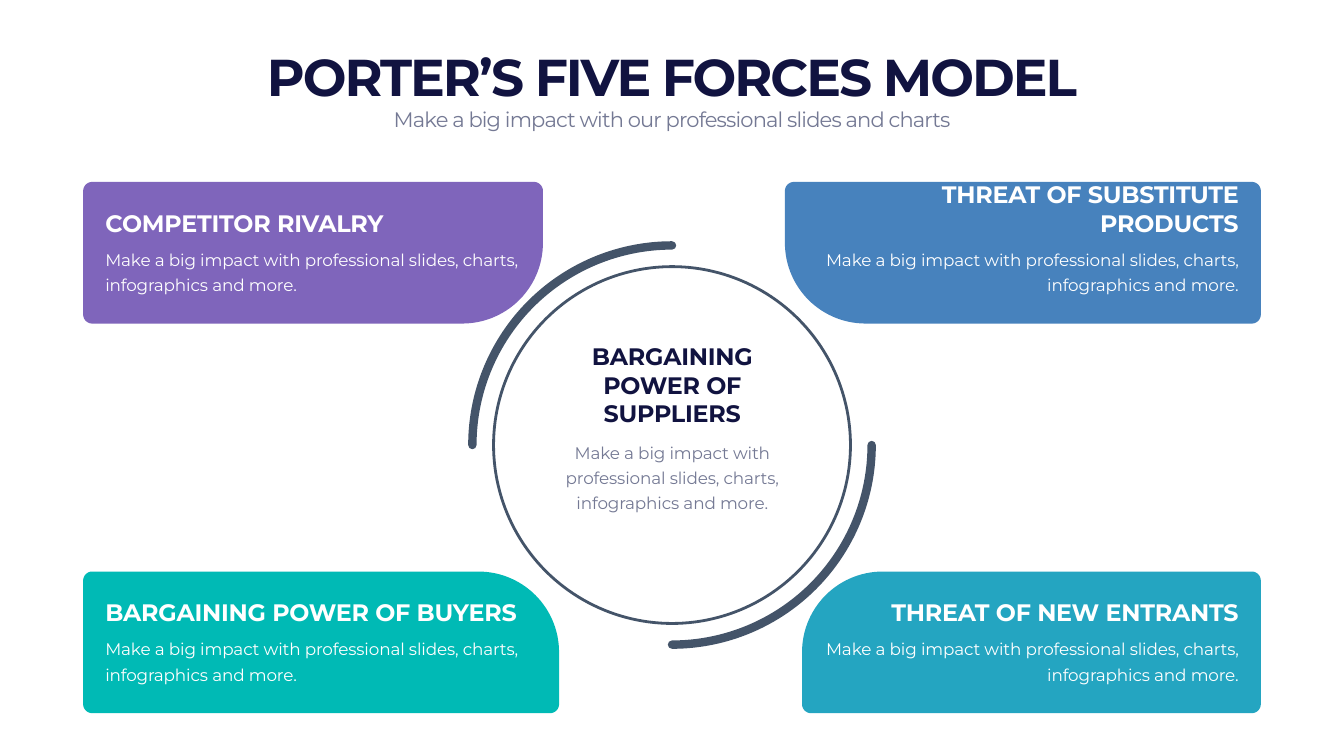
from math import cos, radians, sin
from pptx import Presentation
from pptx.dml.color import RGBColor
from pptx.enum.shapes import MSO_SHAPE
from pptx.enum.text import MSO_ANCHOR, MSO_AUTO_SIZE, PP_ALIGN
from pptx.util import Inches, Pt

LEFT, MID, RIGHT = PP_ALIGN.LEFT, PP_ALIGN.CENTER, PP_ALIGN.RIGHT
TOP, BOTTOM = MSO_ANCHOR.TOP, MSO_ANCHOR.BOTTOM
FIT = MSO_AUTO_SIZE.SHAPE_TO_FIT_TEXT
OVAL, ARC = MSO_SHAPE.OVAL, MSO_SHAPE.ARC

# Content
TITLE = "PORTER’S FIVE FORCES MODEL"
SUB = "Make a big impact with our professional slides and charts"
HUB = "BARGAINING POWER OF SUPPLIERS"
BODY = ("Make a big impact with professional slides, charts, "
        "infographics and more.")
# heading, column, row, card width, fill
CARDS = [
    ("COMPETITOR RIVALRY", 0, 0, 9.12, "7F65BB"),
    ("THREAT OF SUBSTITUTE PRODUCTS", 1, 0, 9.44, "4782BD"),
    ("BARGAINING POWER OF BUYERS", 0, 1, 9.44, "00BAB5"),
    ("THREAT OF NEW ENTRANTS", 1, 1, 9.1, "24A5C1"),
]
NAVY, GREY, SLATE, WHITE = "111340", "747994", "445469", "FFFFFF"

# Measures in inches
WIDE, HIGH = 26.66, 15
EDGE, TALL = 1.65, 2.81
ROWS = (3.61, 11.34)
SMALL, BIG = 0.18, 1.6
CX, CY = 13.33, 8.83

deck = Presentation()
deck.slide_width, deck.slide_height = Inches(WIDE), Inches(HIGH)
slide = deck.slides.add_slide(deck.slide_layouts[0])
shapes = slide.shapes


def color(code):
    return RGBColor.from_string(code)


def write(text, x, y, w, h, box=None, size=24, ink=WHITE, bold=False,
          align=LEFT, anchor=TOP, track=-0.2, lead=None):
    area = [Inches(v) for v in (x, y, w, h)]
    if box is None:
        box = shapes.add_textbox(*area)
    box.left, box.top, box.width, box.height = area
    frame = box.text_frame
    frame.word_wrap, frame.auto_size = True, FIT
    frame.vertical_anchor = anchor
    para = frame.paragraphs[0]
    para.alignment, para.space_before = align, Pt(0)
    para.line_spacing = Pt(lead) if lead else 1.0
    run = para.add_run()
    run.text = text
    font = run.font
    font.name, font.size, font.bold = "Montserrat", Pt(size), bold
    font.color.rgb = color(ink)
    run._r.get_or_add_rPr().set("spc", str(round(track * 100)))


def pair(head, x, w, split, tops, gap, **look):
    """Bold heading that sits above a short body text."""
    high, low = tops
    write(head, x, split - high, w, high, size=34, bold=True,
          anchor=BOTTOM, track=-0.3, **look)
    look["ink"] = GREY if look["ink"] == NAVY else look["ink"]
    write(BODY, x, split + gap, w, low, lead=36, **look)


def card(x, y, w, fill, bend):
    """Rounded box whose corner number bend has the large radius."""
    dots = []
    for k, (right, low) in enumerate([(0, 0), (1, 0), (1, 1), (0, 1)]):
        r = BIG if k == bend else SMALL
        mx = x + (w - r if right else r)
        my = y + (TALL - r if low else r)
        for step in range(31):
            turn = radians(180 + 90 * k + 3 * step)
            dots.append((Inches(mx + r * cos(turn)),
                         Inches(my + r * sin(turn))))
    # Points are whole EMU, as the builder rounds them
    path = shapes.build_freeform(*dots[0])
    path.add_line_segments(dots[1:], close=True)
    shape = path.convert_to_shape()
    shape.shadow.inherit = False
    shape.fill.solid()
    shape.fill.fore_color.rgb = color(fill)
    shape.line.fill.background()


def ring(kind, r, width):
    shape = shapes.add_shape(kind, Inches(CX - r), Inches(CY - r),
                             Inches(2 * r), Inches(2 * r))
    shape.shadow.inherit = False
    shape.fill.background()
    shape.line.color.rgb = color(SLATE)
    shape.line.width = Pt(width)
    return shape


# Title and subtitle
head, sub = slide.placeholders
write(TITLE, EDGE, 0.82, WIDE - 2 * EDGE, 1.35, box=head, size=74, ink=NAVY,
      bold=True, align=MID, anchor=BOTTOM, track=-2.9)
write(SUB, EDGE, 2.07, WIDE - 2 * EDGE, 0.61, box=sub, size=30, ink=GREY,
      align=MID, track=-1.2)

# Four cards, large corner towards the hub
for name, col, row, w, fill in CARDS:
    x = WIDE - EDGE - w if col else EDGE
    bend = ((2, 3), (1, 0))[row][col]
    card(x, ROWS[row], w, fill, bend)
    pair(name, 16.27 if col else 1.99, 8.4, ROWS[row] + 1.14, (0.67, 1.09),
         0.05, ink=WHITE, align=RIGHT if col else LEFT)

# Hub with two quarter arcs
ring(OVAL, 3.54, 4)
for start in (0, 180):
    arc = ring(ARC, 3.96, 12)
    arc.adjustments[0] = start * 0.6
    arc.adjustments[1] = (start + 90) * 0.6
    arc.line._get_or_add_ln().set("cap", "rnd")
pair(HUB, 10.76, 5.15, 8.53, (1.25, 1.59), 0.1, ink=NAVY, align=MID)

deck.save("out.pptx")
